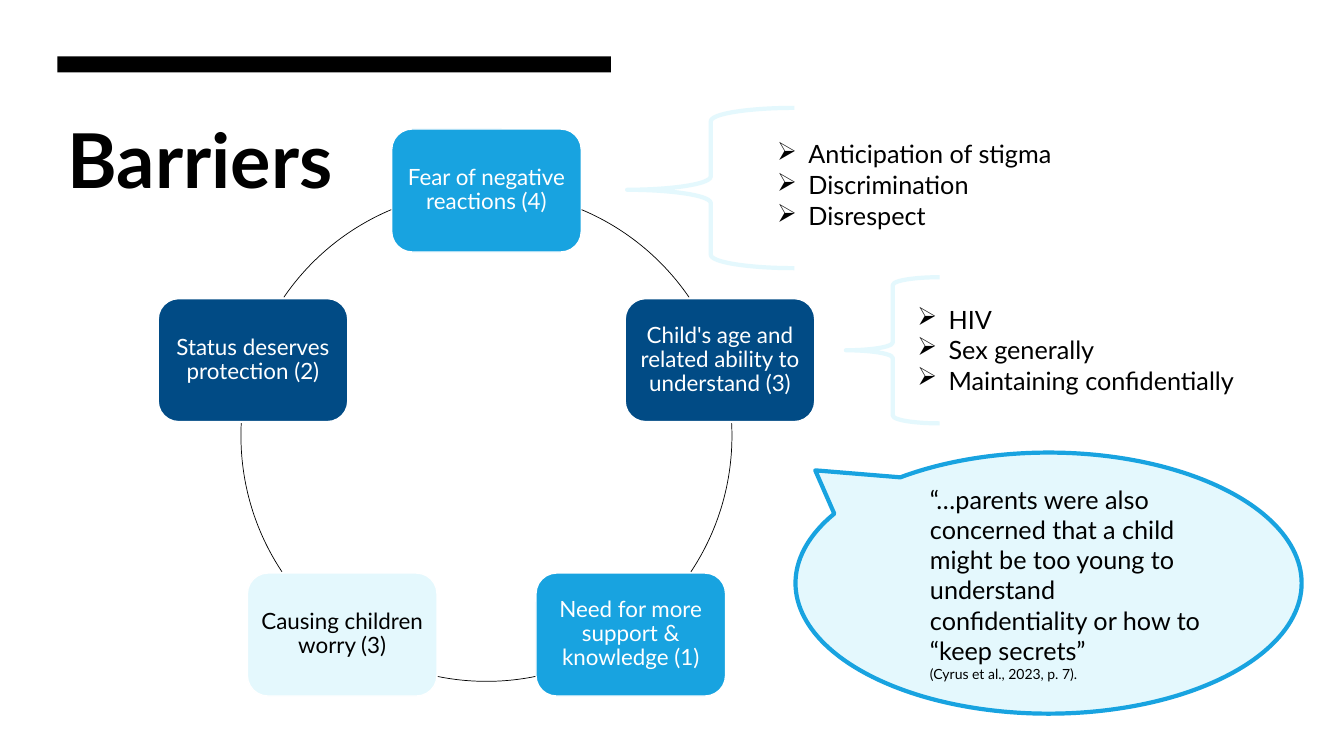
from dataclasses import dataclass
from math import cos, radians, sin

from lxml import etree
from pptx import Presentation
from pptx.dml.color import RGBColor
from pptx.enum.shapes import MSO_SHAPE
from pptx.enum.text import MSO_ANCHOR, MSO_AUTO_SIZE, PP_ALIGN
from pptx.oxml.ns import qn
from pptx.util import Pt

RECTANGLE = MSO_SHAPE.RECTANGLE
ROUNDED = MSO_SHAPE.ROUNDED_RECTANGLE
ARC = MSO_SHAPE.ARC
LEFT_BRACE = MSO_SHAPE.LEFT_BRACE
CALLOUT = MSO_SHAPE.OVAL_CALLOUT
TOP, MIDDLE = MSO_ANCHOR.TOP, MSO_ANCHOR.MIDDLE
LEFT, CENTER = PP_ALIGN.LEFT, PP_ALIGN.CENTER
NO_AUTOFIT = MSO_AUTO_SIZE.NONE

EMU_PER_PX = 9144
FONT = "Lato"
BLACK, WHITE = "000000", "FFFFFF"
SKY, NAVY, PALE = "18A3E0", "014B85", "E4F8FD"

RING_LEFT, RING_TOP, RING_SIZE = 239, 189, 487
CARD_WIDTH, CARD_HEIGHT = 188, 122
ARC_DEGREE = 0.6


@dataclass
class Barrier:
    text: str
    fill: str
    ink: str
    arc_start: float
    arc_end: float


@dataclass
class Details:
    area: tuple[int, int, int, int]
    brace: tuple[int, int, int, int]
    brace_tip: float
    level: int
    line_spacing: float
    space_after: float
    items: list[str]


BARRIERS = [
    Barrier("Fear of negative reactions (4)", SKY, WHITE, 292.8, 325.6),
    Barrier("Child's age and related ability to understand (3)", NAVY, WHITE, 357, 33.6),
    Barrier("Need for more support & knowledge (1)", SKY, WHITE, 78.5, 101.5),
    Barrier("Causing children worry (3)", PALE, BLACK, 146.4, 183),
    Barrier("Status deserves protection (2)", NAVY, WHITE, 214.4, 247.2),
]
DETAILS = [
    Details((761, 136, 321, 102), (622, 107, 166, 159), 0.511, 1, 0.9, 2.7,
            ["Anticipation of stigma", "Discrimination", "Disrespect"]),
    Details((900, 297, 367, 101), (839, 275, 93, 145), 0.5, 0, 1.0, 0,
            ["HIV", "Sex generally", "Maintaining confidentially"]),
]
QUOTE = [
    ("“…parents were also concerned that a child might be too young to "
     "understand confidentiality or how to “keep secrets”", 18),
    ("(Cyrus et al., 2023, p. 7).", 10),
]


def px(length: float) -> int:
    return round(length * EMU_PER_PX)


def color(value: str) -> RGBColor:
    return RGBColor.from_string(value)


def set_font(para, size: float, ink: str = BLACK, bold: bool = False) -> None:
    para.font.name = FONT
    para.font.size = Pt(size)
    para.font.bold = bold
    para.font.color.rgb = color(ink)


def set_indent(para, left: int, first: int, bullet: str = "") -> None:
    properties = para._p.get_or_add_pPr()
    properties.set("marL", str(px(left)))
    properties.set("indent", str(px(first)))
    if bullet:
        etree.SubElement(properties, qn("a:buChar")).set("char", bullet)


def add_figure(page, kind, area, fill: str = "", line: str = "", weight: float = 0):
    figure = page.shapes.add_shape(kind, *map(px, area))
    figure.shadow.inherit = False
    if fill:
        figure.fill.solid()
        figure.fill.fore_color.rgb = color(fill)
    else:
        figure.fill.background()
    if line:
        figure.line.color.rgb = color(line)
        figure.line.width = Pt(weight)
    else:
        figure.line.fill.background()
    return figure


def add_title(page) -> None:
    title = page.shapes.title
    title.left, title.top, title.width, title.height = map(px, (57, 107, 549, 533))
    frame = title.text_frame
    frame.text = "Barriers"
    frame.auto_size = NO_AUTOFIT
    frame.vertical_anchor = TOP
    para = frame.paragraphs[0]
    para.alignment = LEFT
    set_font(para, 54, bold=True)


def add_barrier(page, barrier: Barrier, index: int) -> None:
    radius = RING_SIZE / 2
    angle = radians(360 / len(BARRIERS) * index - 90)
    left = RING_LEFT + radius * (1 + cos(angle)) - CARD_WIDTH / 2
    top = RING_TOP + radius * (1 + sin(angle)) - CARD_HEIGHT / 2
    card = add_figure(page, ROUNDED, (left, top, CARD_WIDTH, CARD_HEIGHT),
                      barrier.fill, WHITE, 1)
    frame = card.text_frame
    frame.word_wrap = True
    frame.vertical_anchor = MIDDLE
    frame.margin_left = frame.margin_right = px(7)
    frame.margin_top = frame.margin_bottom = px(7)
    para = frame.paragraphs[0]
    para.text = barrier.text
    para.alignment = CENTER
    para.line_spacing = 0.9
    set_font(para, 16, barrier.ink)

    arc = add_figure(page, ARC, (RING_LEFT, RING_TOP, RING_SIZE, RING_SIZE),
                     line=BLACK, weight=0.5)
    arc.adjustments[0] = barrier.arc_start * ARC_DEGREE
    arc.adjustments[1] = barrier.arc_end * ARC_DEGREE


def add_details(page, details: Details) -> None:
    box = page.shapes.add_textbox(*map(px, details.area))
    frame = box.text_frame
    frame.word_wrap = True
    for index, item in enumerate(details.items):
        para = frame.add_paragraph() if index else frame.paragraphs[0]
        para.text = item
        para.level = details.level
        para.line_spacing = details.line_spacing
        para.space_after = Pt(details.space_after)
        set_indent(para, 31, -31, "➢")
        set_font(para, 18)

    brace = add_figure(page, LEFT_BRACE, details.brace, line=PALE, weight=3)
    brace.adjustments[0] = 0.083
    brace.adjustments[1] = details.brace_tip


def add_quote(page) -> None:
    callout = add_figure(page, CALLOUT, (789, 449, 502, 259), PALE, SKY, 3)
    callout.adjustments[0] = -0.461
    callout.adjustments[1] = -0.432
    frame = callout.text_frame
    frame.word_wrap = True
    frame.vertical_anchor = MIDDLE
    for index, (text, size) in enumerate(QUOTE):
        para = frame.add_paragraph() if index else frame.paragraphs[0]
        para.text = text
        para.level = 1
        para.alignment = LEFT
        set_indent(para, 50, 0)
        set_font(para, size)


def main() -> None:
    deck = Presentation()
    deck.slide_width, deck.slide_height = px(1333), px(750)
    page = deck.slides.add_slide(deck.slide_layouts[5])
    add_figure(page, RECTANGLE, (57, 56, 549, 16), BLACK)
    add_title(page)
    for index, barrier in enumerate(BARRIERS):
        add_barrier(page, barrier, index)
    for details in DETAILS:
        add_details(page, details)
    add_quote(page)
    deck.save("out.pptx")


if __name__ == "__main__":
    main()
